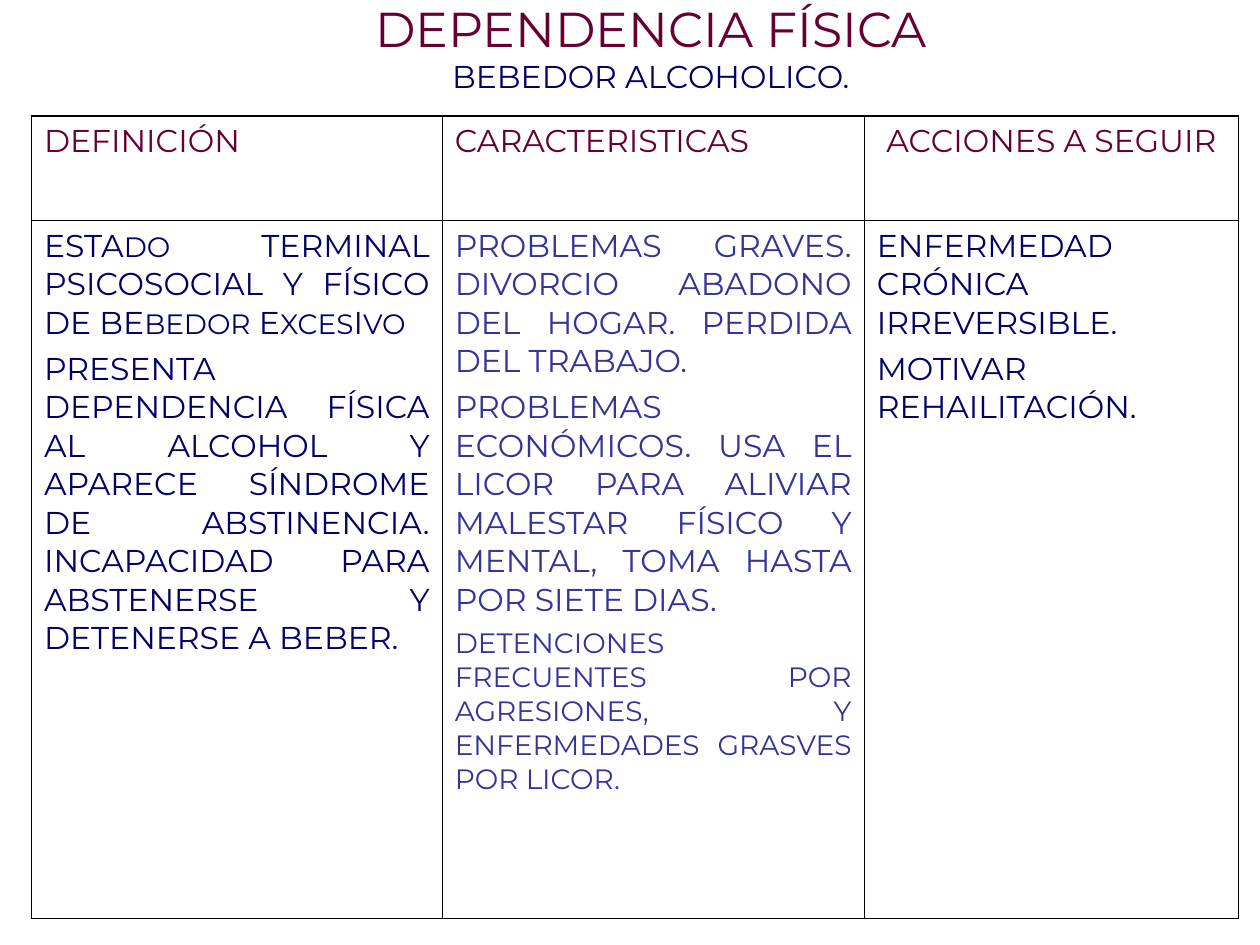
from dataclasses import dataclass

from lxml.etree import SubElement
from pptx import Presentation
from pptx.dml.color import RGBColor as Color
from pptx.enum.text import MSO_ANCHOR as Anchor, PP_ALIGN as Align
from pptx.oxml.ns import qn
from pptx.util import Inches, Pt


@dataclass(frozen=True)
class Theme:
    font: str = "Montserrat"
    wine: str = "660033"
    navy: str = "000066"
    indigo: str = "333399"
    bright: str = "3333FF"
    border: str = "000000"
    title: float = 28
    body: float = 18
    small: float = 16
    outer_line: float = 1.08
    inner_line: float = 0.45
    body_gap: float = 4.5
    small_gap: float = 4


THEME = Theme()
WIDTH, HEIGHT = Inches(10), Inches(7.5)
COLUMNS = (3.26, 3.35, 2.97)
ROWS = (0.83, 5.54)


def body(text, color=THEME.navy):
    return text, THEME.body, color


def small(text, color=THEME.navy):
    return text, THEME.small, color


# Each cell: alignment and paragraphs, each a list of runs
HEADER = [
    (Align.LEFT, [[body("DEFINICIÓN", THEME.wine)]]),
    (Align.LEFT, [[body("CARACTERISTICAS", THEME.wine)]]),
    (Align.CENTER, [[body("ACCIONES A SEGUIR", THEME.wine)]]),
]
DEFINITION = [
    [body("ESTA"), small("DO "), body("TERMINAL PSICOSOCIAL Y FÍSICO DE BE"),
     small("BEDOR"), body(" E"), small("XCES"), body("I"), small("VO")],
    [body("PRESENTA DEPENDENCIA FÍSICA AL ALCOHOL Y APARECE SÍNDROME DE "
          "ABSTINENCIA. INCAPACIDAD PARA ABSTENERSE Y DETENERSE A BEBER.")],
]
FEATURES = [
    [body("PROBLEMAS GRAVES. DIVORCIO ABADONO DEL HOGAR. PERDIDA "
          "DEL TRABAJO.", THEME.indigo)],
    [body("PROBLEMAS ECONÓMICOS. USA EL LICOR PARA ALIVIAR MALESTAR FÍSICO "
          "Y MENTAL, TOMA HASTA POR SIETE DIAS.", THEME.indigo)],
    [small("DETENCIONES FRECUENTES POR AGRESIONES, Y ENFERMEDADES GRASVES "
           "POR LICOR", THEME.indigo), small(".", THEME.bright)],
]
ACTIONS = [
    [body("ENFERMEDAD CRÓNICA IRREVERSIBLE.")],
    [body("MOTIVAR REHAILITACIÓN.")],
]
CONTENT = [HEADER,
           [(Align.JUSTIFY, cell) for cell in (DEFINITION, FEATURES, ACTIONS)]]


def add_span(para, text, size, color):
    span = para.add_run()
    span.text = text
    span.font.name = THEME.font
    span.font.size = Pt(size)
    span.font.color.rgb = Color.from_string(color)


def set_margins(holder):
    holder.margin_left = holder.margin_right = Inches(0.1)
    holder.margin_top = holder.margin_bottom = Inches(0.05)


def set_borders(cell, widths):
    """Draw the cell's sides; widths are in the order L, R, T, B."""
    properties = cell._tc.get_or_add_tcPr()
    for index, (side, width) in enumerate(zip("LRTB", widths)):
        line = SubElement(properties, qn(f"a:ln{side}"), w=str(int(Pt(width))))
        fill = SubElement(line, qn("a:solidFill"))
        SubElement(fill, qn("a:srgbClr"), val=THEME.border)
        properties.insert(index, line)


def fill_cell(cell, align, paragraphs):
    set_margins(cell)
    cell.fill.background()
    frame = cell.text_frame
    for index, spans in enumerate(paragraphs):
        para = frame.add_paragraph() if index else frame.paragraphs[0]
        para.alignment = align
        if index:
            is_small = spans[0][1] == THEME.small
            para.space_before = Pt(THEME.small_gap if is_small else THEME.body_gap)
        for span in spans:
            add_span(para, *span)


def add_title(page, left, top, width, height):
    box = page.shapes.add_textbox(left, top, width, height)
    frame = box.text_frame
    frame.word_wrap = True
    frame.vertical_anchor = Anchor.MIDDLE
    set_margins(frame)
    para = frame.paragraphs[0]
    para.alignment = Align.CENTER
    add_span(para, "DEPENDENCIA FÍSICA", THEME.title, THEME.wine)
    para.add_line_break()
    add_span(para, *body("BEBEDOR ALCOHOLICO."))


def add_grid(page, left, top, width, height):
    table = page.shapes.add_table(len(ROWS), len(COLUMNS),
                                  left, top, width, height).table
    table.first_row = table.horz_banding = False
    for column, share in zip(table.columns, COLUMNS):
        column.width = int(width * share / sum(COLUMNS))
    for row, share in zip(table.rows, ROWS):
        row.height = int(height * share / sum(ROWS))
    last_row, last_column = len(ROWS) - 1, len(COLUMNS) - 1
    for r, row in enumerate(CONTENT):
        for c, (align, paragraphs) in enumerate(row):
            cell = table.cell(r, c)
            fill_cell(cell, align, paragraphs)
            on_edge = (c == 0, c == last_column, r == 0, r == last_row)
            set_borders(cell, [THEME.outer_line if edge else THEME.inner_line
                               for edge in on_edge])


def main():
    deck = Presentation()
    deck.slide_width, deck.slide_height = WIDTH, HEIGHT
    page = deck.slides.add_slide(deck.slide_layouts[6])
    # Heading above the three-column table
    add_title(page, Inches(0.83), Inches(0.08), Inches(8.67), Inches(0.58))
    add_grid(page, Inches(0.25), Inches(0.92),
             Inches(sum(COLUMNS)), Inches(sum(ROWS)))
    deck.save("out.pptx")


if __name__ == "__main__":
    main()
